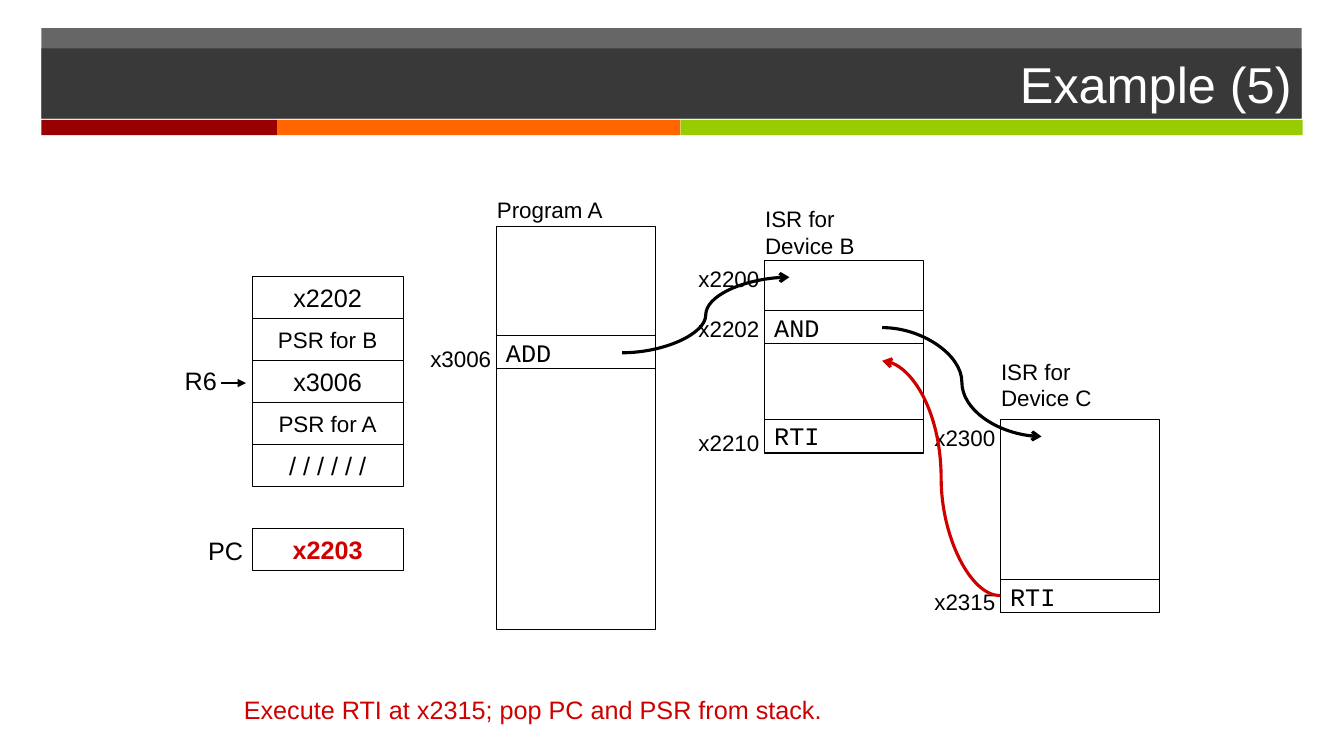
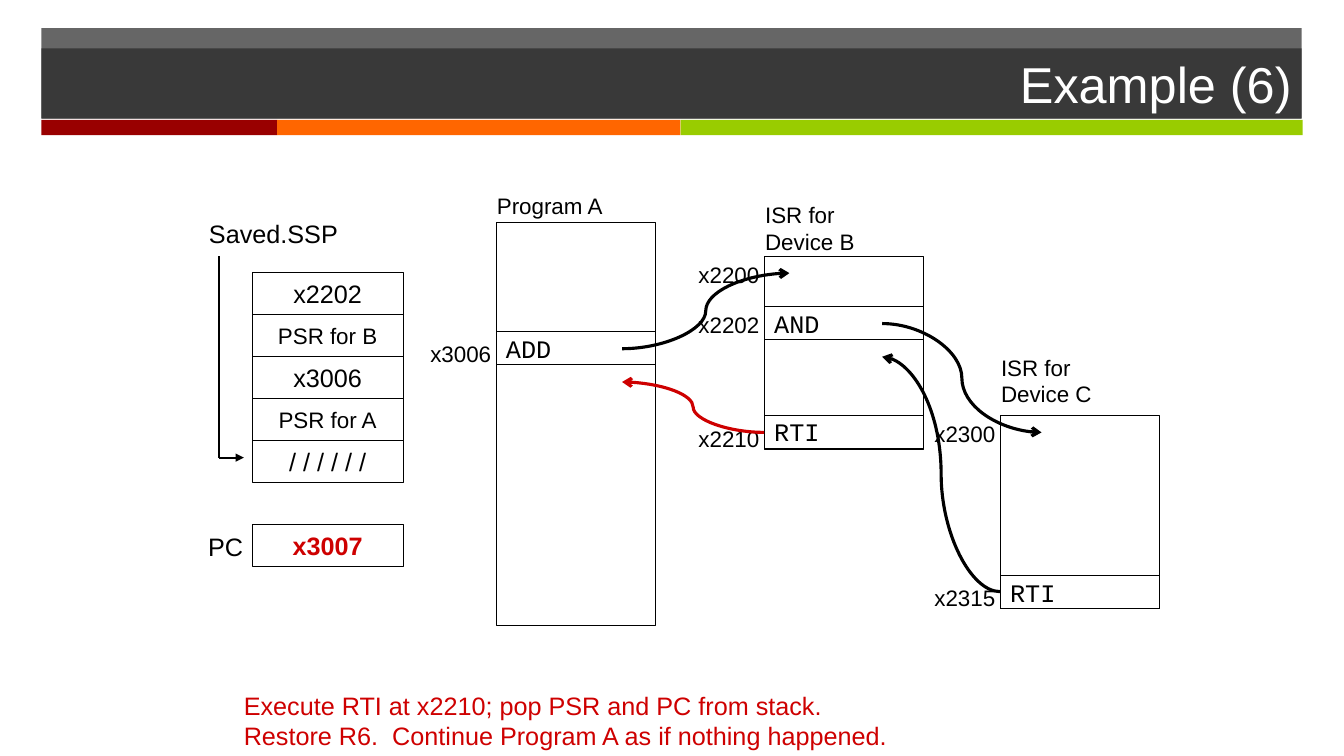
from lxml import etree
from pptx import Presentation
from pptx.dml.color import RGBColor
from pptx.enum.shapes import MSO_CONNECTOR, MSO_SHAPE
from pptx.enum.text import MSO_ANCHOR, MSO_AUTO_SIZE, PP_ALIGN
from pptx.oxml.ns import qn
from pptx.util import Inches, Pt

RECT = MSO_SHAPE.RECTANGLE
STRAIGHT, CURVE = MSO_CONNECTOR.STRAIGHT, MSO_CONNECTOR.CURVE
LEFT, CENTER, RIGHT = PP_ALIGN.LEFT, PP_ALIGN.CENTER, PP_ALIGN.RIGHT
MIDDLE, GROW = MSO_ANCHOR.MIDDLE, MSO_AUTO_SIZE.SHAPE_TO_FIT_TEXT

COLORS = {"black": "000000", "white": "FFFFFF", "accent": "CE0000", "bar": "262626",
          "red": "990000", "orange": "FF6600", "green": "99CC00"}
RGB = {name: RGBColor.from_string(value) for name, value in COLORS.items()}
SANS, MONO = "Arial", "Courier New"

# left, top, width, height, colour, opacity in percent; the last band holds the title
BANDS = [
    (0.41, 0.28, 12.5, 0.89, "bar", 70),
    (0.41, 1.19, 2.34, 0.15, "red", 100),
    (2.75, 1.19, 4, 0.15, "orange", 100),
    (6.75, 1.19, 6.17, 0.15, "green", 100),
    (0.41, 0.48, 12.5, 0.7, "bar", 70),
]

STACK = [("x2202", 18), ("PSR for B", 16), ("x3006", 18), ("PSR for A", 16), ("/ / / / / /", 18)]
STACK_X, STACK_Y, STACK_W = 2.5, 2.74, 1.5
CELL_H = 5 / 12

# left, top, height, heading and its top, instructions (top, name), addresses (top, value)
ROUTINES = [
    (4.92, 2.25, 4, "Program A", 1.9, [(3.33, "ADD")], [(3.37, "x3006")]),
    (7.58, 2.58, 1.92, "ISR for\vDevice B", 1.99, [(3.08, "AND"), (4.16, "RTI")],
     [(2.58, "x2200"), (3.08, "x2202"), (4.21, "x2210")]),
    (9.92, 4.16, 1.92, "ISR for\vDevice C", 3.5, [(5.75, "RTI")],
     [(4.16, "x2300"), (5.79, "x2315")]),
]
ROUTINE_W, ROW_H = 1.58, 0.33

A_TO_B = (CURVE, 6.17, 3.5, 7.83, 2.75, "black", "arrow")
B_TO_C = (CURVE, 8.75, 3.25, 10.33, 4.33, "black", "arrow")
C_TO_B = (CURVE, 9.92, 5.91, 8.75, 3.58)
B_TO_A = (CURVE, 7.58, 4.33, 6.17, 3.83)

SLIDES = [
    {"title": "Example (5)", "shift": 0, "pc": "x2203",
     "pointer": (1.73, 3.58, 0.52, "R6"),
     "note": "Execute RTI at x2315; pop PC and PSR from stack.",
     "lines": [A_TO_B, B_TO_C, (*C_TO_B, "accent", "arrow"),
               (STRAIGHT, 2.19, 3.8, 2.44, 3.8, "black", "triangle")]},
    {"title": "Example (6)", "shift": -0.04, "pc": "x3007",
     "pointer": (1.96, 2.16, 1.49, "Saved.SSP"),
     "note": "Execute RTI at x2210; pop PSR and PC from stack.\v"
             "Restore R6.  Continue Program A as if nothing happened.",
     "lines": [A_TO_B, B_TO_C, (*C_TO_B, "black", "arrow"), (*B_TO_A, "accent", "arrow"),
               (STRAIGHT, 2.17, 4.58, 2.42, 4.58, "black", "triangle"),
               (STRAIGHT, 2.17, 4.58, 2.17, 2.58, "black", None)]},
]


def set_text(sp, text, size, align, color="black", font=SANS, bold=False):
    tf = sp.text_frame
    tf.text = text
    p = tf.paragraphs[0]
    p.alignment = align
    for r in p.runs:
        r.font.size = Pt(size)
        r.font.name = font
        r.font.bold = bold
        r.font.color.rgb = RGB[color]


def add_rect(s, x, y, w, h, fill=None):
    """Add a filled band, or an outlined box when no fill is given."""
    sp = s.shapes.add_shape(RECT, Inches(x), Inches(y), Inches(w), Inches(h))
    sp.shadow.inherit = False
    sp.text_frame.vertical_anchor = MIDDLE
    if fill:
        sp.fill.solid()
        sp.fill.fore_color.rgb = RGB[fill]
        sp.line.fill.background()
    else:
        sp.fill.background()
        sp.line.color.rgb = RGB["black"]
        sp.line.width = Pt(0.75)
        sp.text_frame.word_wrap = False
    return sp


prs = Presentation()
prs.slide_width, prs.slide_height = Inches(13.33), Inches(7.5)
blank = prs.slide_layouts[6]

for slide in SLIDES:
    s = prs.slides.add_slide(blank)
    dy = slide["shift"]

    for x, y, w, h, color, opacity in BANDS:
        band = add_rect(s, x, y, w, h, color)
        if opacity < 100:
            clr = band.fill._xPr.find(".//" + qn("a:srgbClr"))
            etree.SubElement(clr, qn("a:alpha")).set("val", str(opacity * 1000))
    set_text(band, slide["title"], 36, RIGHT, "white")

    for i, (text, size) in enumerate(STACK):
        cell = add_rect(s, STACK_X, STACK_Y + i * CELL_H + dy, STACK_W, CELL_H)
        set_text(cell, text, size, CENTER)
    pc = add_rect(s, STACK_X, STACK_Y + 6 * CELL_H + dy, STACK_W, CELL_H)
    set_text(pc, slide["pc"], 18, CENTER, "accent", bold=True)

    # left, top, width, height, text, size, alignment, colour
    x, y, w, text = slide["pointer"]
    labels = [
        (x, y, w, 0.4, text, 18, RIGHT, "black"),
        (1.96, 5.26, 0.55, 0.4, "PC", 18, RIGHT, "black"),
        (2.32, 6.84, 6.8, 0.4, slide["note"], 18, LEFT, "accent"),
    ]
    for x, y, h, heading, heading_y, instructions, addresses in ROUTINES:
        add_rect(s, x, y + dy, ROUTINE_W, h)
        for row_y, name in instructions:
            row = add_rect(s, x, row_y + dy, ROUTINE_W, ROW_H)
            set_text(row, name, 18, LEFT, font=MONO)
        labels.append((x - 0.09, heading_y, ROUTINE_W, 0.37, heading, 16, LEFT, "black"))
        for address_y, address in addresses:
            labels.append((x - 0.76, address_y, 0.81, 0.37, address, 16, RIGHT, "black"))

    for x, y, w, h, text, size, align, color in labels:
        label = s.shapes.add_textbox(Inches(x), Inches(y + dy), Inches(w), Inches(h))
        label.text_frame.word_wrap = align == LEFT
        label.text_frame.auto_size = GROW
        set_text(label, text, size, align, color)

    for kind, x1, y1, x2, y2, color, head in slide["lines"]:
        line = s.shapes.add_connector(kind, Inches(x1), Inches(y1 + dy),
                                      Inches(x2), Inches(y2 + dy))
        line.line.color.rgb = RGB[color]
        line.line.width = Pt(2.25 if kind == CURVE else 1.5)
        if head:
            etree.SubElement(line.line._get_or_add_ln(), qn("a:tailEnd")).set("type", head)
        etree.SubElement(line._element.spPr, qn("a:effectLst"))

prs.save("out.pptx")
